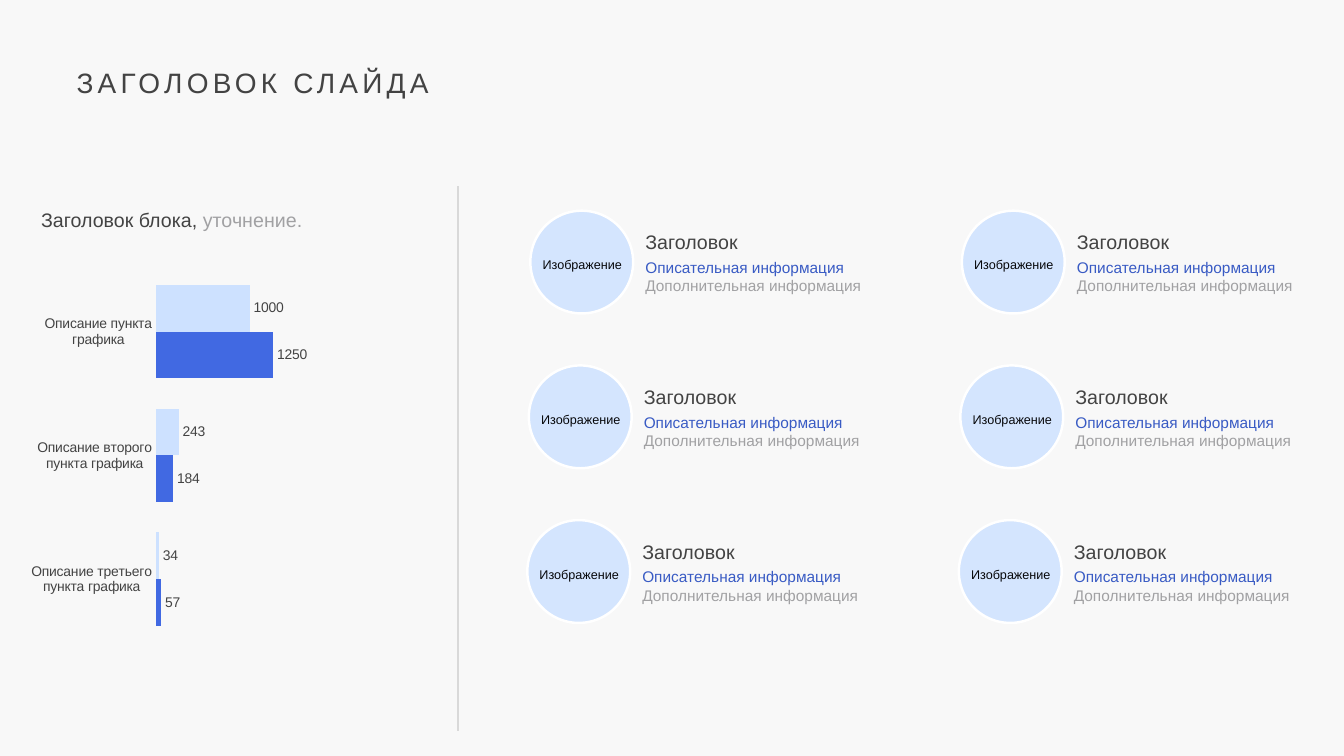
from lxml import etree
from pptx import Presentation
from pptx import util as u
from pptx.chart.data import CategoryChartData
from pptx.dml.color import RGBColor
from pptx.enum import chart as charts, shapes, text
from pptx.oxml import parse_xml
from pptx.oxml.ns import nsdecls, qn

FONT = "Arial"
DARK, GREY, BLUE = "434343", "A1A1A3", "395BC4"
COLUMN_STEP, ROW_STEP, ROW_SHIFT = 4.28, 1.535, 0.015
CATEGORIES = ["Описание пункта графика", "Описание второго пункта графика",
              "Описание третьего пункта графика"]
SERIES = [("Series 1", (1000, 243, 34), "CDE1FF"),
          ("Series 2", (1250, 184, 57), "4169E2")]


def color(value):
    """Turn a hex string into a colour."""
    return RGBColor.from_string(value)


def place(left, top, width, height):
    """Turn four numbers into lengths in inches."""
    return [u.Inches(value) for value in (left, top, width, height)]


def style(font, size, shade=None):
    """Set the typeface, size and, where given, the colour of a font."""
    font.name, font.size = FONT, u.Pt(size)
    if shade:
        font.color.rgb = color(shade)


def add_box(parent, area, inset=True):
    """Add a wrapping text box and return its text frame."""
    frame = parent.add_textbox(*place(*area)).text_frame
    frame.word_wrap = True
    if not inset:
        clear_insets(frame)
    return frame


def clear_insets(frame):
    """Remove the inner margins of a text frame."""
    frame.margin_left = frame.margin_top = frame.margin_right = frame.margin_bottom = 0


def add_span(para, words, shade):
    """Add a coloured run to a paragraph."""
    span = para.add_run()
    span.text = words
    span.font.color.rgb = color(shade)


def add_title(page):
    """Fill and move the title placeholder."""
    title = page.shapes.title
    title.left, title.top, title.width, title.height = place(0.76, 0.6, 5, 0.39)
    frame = title.text_frame
    clear_insets(frame)
    frame.auto_size = text.MSO_AUTO_SIZE.NONE
    frame.vertical_anchor = text.MSO_ANCHOR.TOP
    frame.text = "ЗАГОЛОВОК СЛАЙДА"
    para = frame.paragraphs[0]
    para.alignment = text.PP_ALIGN.LEFT
    para.line_spacing = 1.15
    style(para.font, 20, DARK)
    para.runs[0].font._element.set("spc", "300")


def add_block_heading(page):
    """Add the two-coloured heading above the chart."""
    para = add_box(page.shapes, (0.31, 1.99, 6.86, 0.35)).paragraphs[0]
    para.line_spacing = 1.1
    style(para.font, 14)
    add_span(para, "Заголовок блока, ", DARK)
    add_span(para, "уточнение.", GREY)


def add_divider(page):
    """Add the vertical line between chart and cards."""
    x = u.Inches(4.54)
    line = page.shapes.add_connector(shapes.MSO_CONNECTOR.STRAIGHT,
                                     x, u.Inches(7.25), x, u.Inches(1.85))
    line.line.color.rgb = color("D9D9D9")
    line.line.width = u.Pt(1.25)
    etree.SubElement(line._element.spPr, qn("a:effectLst"))


def add_card(page, left, top):
    """Add a grouped circle with its caption and description."""
    group = page.shapes.add_group_shape().shapes
    frame = add_box(group, (left + 1.14, top + 0.1, 2.18, 0.83), inset=False)
    frame.vertical_anchor = text.MSO_ANCHOR.MIDDLE
    heading = frame.paragraphs[0]
    heading.text = "Заголовок"
    style(heading.font, 14, DARK)
    details = frame.add_paragraph()
    details.space_before = u.Pt(3)
    style(details.font, 11)
    add_span(details, "Описательная информация", BLUE)
    details.add_line_break()
    add_span(details, "Дополнительная информация", GREY)

    circle = group.add_shape(shapes.MSO_SHAPE.OVAL, *place(left, top, 1.02, 1.02))
    circle.shadow.inherit = False
    circle.fill.solid()
    circle.fill.fore_color.rgb = color("D4E5FE")
    circle.line.color.rgb = color("FFFFFF")
    circle.line.width = u.Pt(1.75)

    caption = add_box(group, (left - 0.12, top + 0.39, 1.27, 0.27)).paragraphs[0]
    caption.text = "Изображение"
    caption.alignment = text.PP_ALIGN.CENTER
    caption.line_spacing = 1.15
    style(caption.font, 9, "07080B")


def set_plot_area(chart, left, top, width, height):
    """Fix the inner plot area as fractions of the chart."""
    plot_area = chart._chartSpace.chart.plotArea
    for layout in plot_area.findall(qn("c:layout")):
        plot_area.remove(layout)
    plot_area.insert(0, parse_xml(
        f'<c:layout {nsdecls("c")}><c:manualLayout><c:layoutTarget val="inner"/>'
        '<c:xMode val="edge"/><c:yMode val="edge"/>'
        f'<c:x val="{left}"/><c:y val="{top}"/><c:w val="{width}"/><c:h val="{height}"/>'
        '</c:manualLayout></c:layout>'))


def add_bars(page):
    """Add the clustered bar chart."""
    data = CategoryChartData()
    data.categories = CATEGORIES
    for name, values, _ in SERIES:
        data.add_series(name, values)
    chart = page.shapes.add_chart(charts.XL_CHART_TYPE.BAR_CLUSTERED,
                                  *place(0.31, 2.6, 2.74, 3.8), data).chart
    chart.has_legend = chart.has_title = False
    style(chart.font, 10, DARK)
    set_plot_area(chart, 0.45, 0.02, 0.48, 0.97)

    axis = chart.category_axis
    axis.reverse_order = True
    axis.major_tick_mark = charts.XL_TICK_MARK.NONE
    axis.format.line.fill.background()
    style(axis.tick_labels.font, 10, DARK)
    scale = chart.value_axis
    scale.visible = scale.has_major_gridlines = False
    scale.minimum_scale, scale.maximum_scale = 0, 1400

    plot = chart.plots[0]
    plot.gap_width, plot.overlap = 65, 0
    plot.vary_by_categories = False
    for series, (_, _, shade) in zip(plot.series, SERIES):
        series.format.fill.solid()
        series.format.fill.fore_color.rgb = color(shade)
        labels = series.data_labels
        labels.show_value = True
        labels.position = charts.XL_LABEL_POSITION.OUTSIDE_END
        style(labels.font, 10, DARK)


def main():
    """Build the slide and save the deck."""
    deck = Presentation()
    deck.slide_width, deck.slide_height = u.Inches(13.33), u.Inches(7.5)
    page = deck.slides.add_slide(deck.slide_layouts[5])
    page.background.fill.solid()
    page.background.fill.fore_color.rgb = color("F8F8F8")
    for column in range(2):
        for row in range(3):
            add_card(page, 5.26 + column * COLUMN_STEP - row * ROW_SHIFT,
                     2.09 + row * ROW_STEP)
    add_divider(page)
    add_title(page)
    add_block_heading(page)
    add_bars(page)
    deck.save("out.pptx")


if __name__ == "__main__":
    main()
